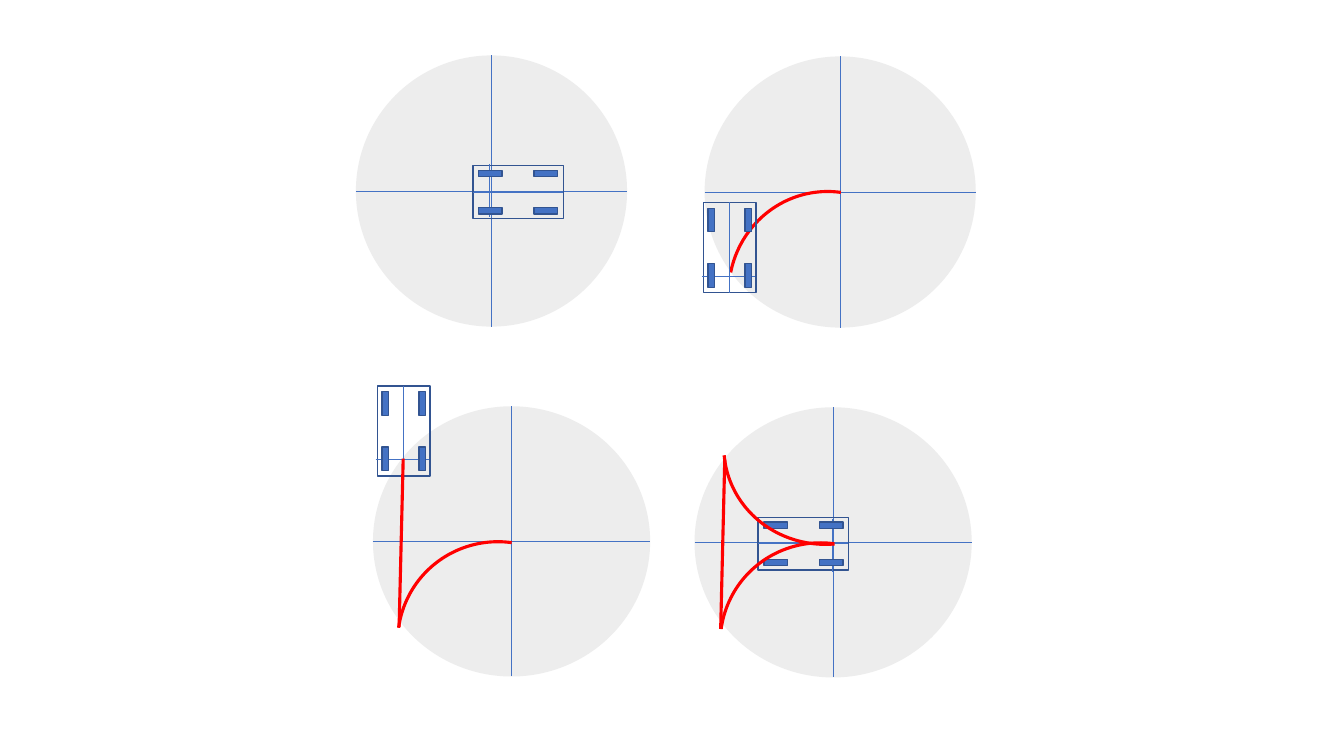
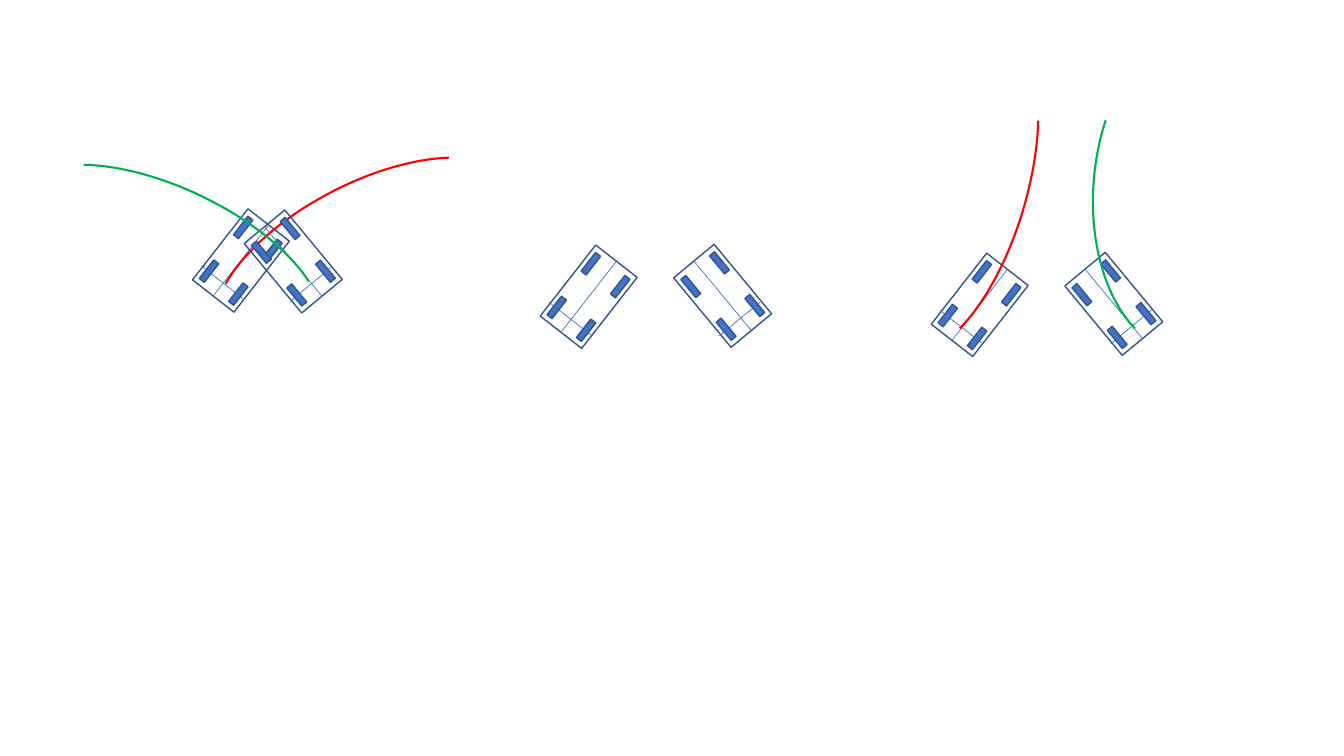
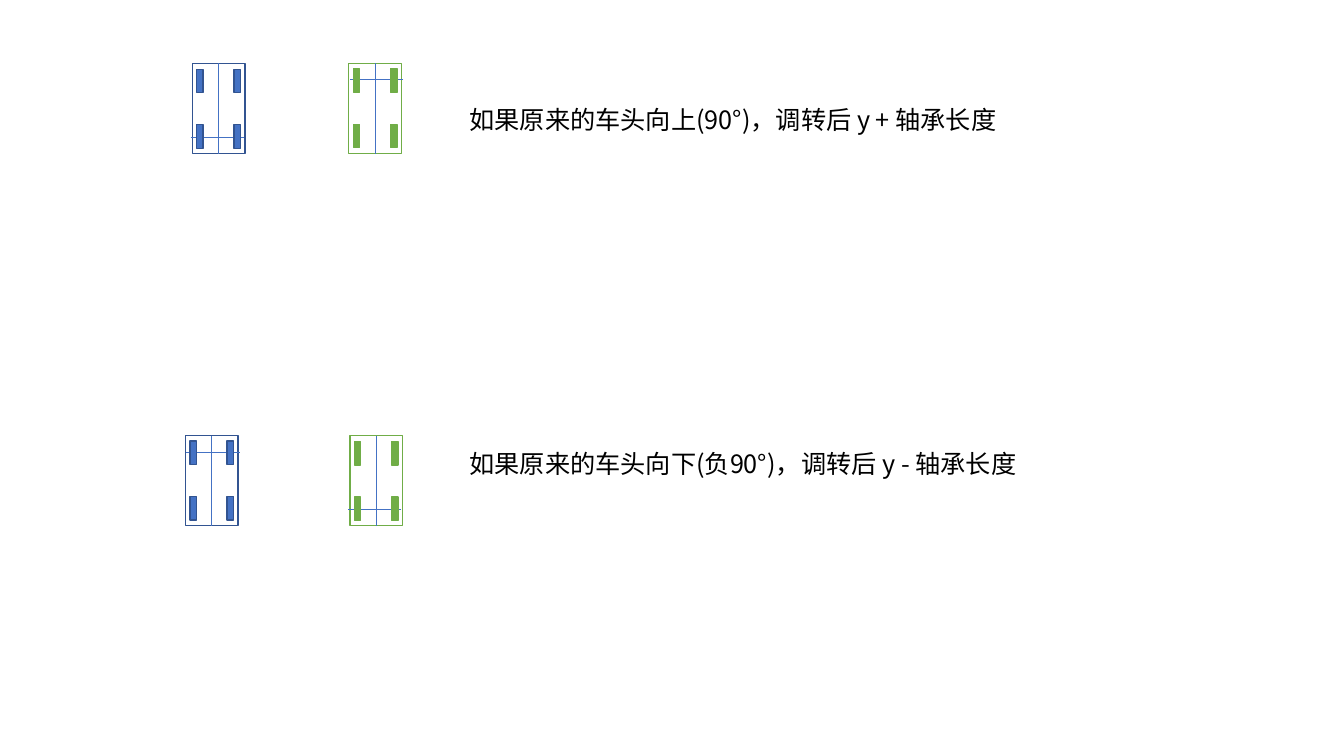
"""Build three slides of car turning diagrams: turning circle, crossing paths, reversed heading."""
from dataclasses import dataclass
from math import cos, radians, sin

from lxml.etree import SubElement
from pptx import Presentation
from pptx.dml.color import RGBColor
from pptx.enum.shapes import MSO_CONNECTOR as Connector, MSO_SHAPE as Shape
from pptx.enum.text import MSO_ANCHOR as Anchor, MSO_AUTO_SIZE as AutoSize
from pptx.oxml.ns import qn
from pptx.util import Pt


@dataclass(frozen=True)
class Theme:
    disc: str = "EDEDED"
    blue: str = "4472C4"
    navy: str = "325491"
    red: str = "FF0000"
    path_green: str = "00B050"
    car_green: str = "70AD47"
    text: str = "000000"
    font: str = "Noto Sans CJK SC"
    text_size: float = 18
    thin: float = 0.5
    outline: float = 1
    path_line: float = 1.5
    track_line: float = 2.25


THEME = Theme()
BLUE_CAR = (THEME.blue, THEME.navy)
GREEN_CAR = (THEME.car_green, THEME.car_green)
TRACK = (THEME.red, THEME.track_line)
RED_PATH = (THEME.red, THEME.path_line)
GREEN_PATH = (THEME.path_green, THEME.path_line)

BODY = (37.6, 64.4)
WHEEL = (4.6, 16.8)
WHEEL_X = (-13.3, 13.3)
WHEEL_Y = (-19.6, 20)
AXLE = ((-20, 20.5), (18, 20.5))

QUARTER = (162, 0)
LEFT_TURN, RIGHT_TURN = 38, 320.4

TURNING_CIRCLE = [
    ("disc", (266.4, 290.2, 198, 193)),
    ("arc", (284.4, 386.6, 142.6, 143.3), 277.9, QUARTER, TRACK),
    ("car", (288.4, 307.8), 0, BLUE_CAR),
    ("track", (285.1, 447.8), (288, 327.6), TRACK),
    ("disc", (496.1, 290.9, 198, 193)),
    ("car", (573.8, 388.4), 270, BLUE_CAR),
    ("track", (514.8, 449.3), (517.7, 328.3), TRACK),
    ("arc", (514.8, 387.4, 142.6, 143.3), 277.9, QUARTER, TRACK),
    ("arc", (517, 249.1, 146.2, 139.7), 175.1, QUARTER, TRACK),
    ("disc", (503.3, 40.3, 193.7, 193.7)),
    ("arc", (519.1, 138.2, 143.3, 140.4), 277.9, (164.08, 0), TRACK),
    ("car", (521.3, 176.8), 0, BLUE_CAR),
    ("disc", (254.2, 39.6, 193.7, 193.7)),
    ("car", (370.1, 137.2), 90, BLUE_CAR),
]

CROSSING_PATHS = [
    ("car", (172.1, 186.1), LEFT_TURN, BLUE_CAR),
    ("arc", (206.6, 67, 112.3, 239.8), 242.6, (173.16, 39.2), RED_PATH),
    ("car", (209.5, 186.8), RIGHT_TURN, BLUE_CAR),
    ("arc", (64.8, 69.1, 109.4, 239.8), 115.4, (173.16, 39.2), GREEN_PATH, True),
    ("car", (420.5, 212), LEFT_TURN, BLUE_CAR),
    ("car", (516.2, 211.3), RIGHT_TURN, BLUE_CAR),
    ("car", (699.8, 217.8), LEFT_TURN, BLUE_CAR),
    ("car", (795.6, 217.1), RIGHT_TURN, BLUE_CAR),
    ("arc", (781.2, 13, 149.8, 239.8), 185.5, (173.16, 17.89), GREEN_PATH),
    ("arc", (631.4, 15.1, 101.5, 240.5), 196.6, (173.16, 33.72), RED_PATH, True),
]

REVERSED_HEADING = [
    ("car", (156.2, 77.5), 0, BLUE_CAR),
    ("car", (151.2, 343.3), 180, BLUE_CAR),
    ("car", (267.9, 77.5), 180, GREEN_CAR),
    ("car", (268.7, 343.3), 0, GREEN_CAR),
    ("note", (328.3, 70.6, 409, 29), "如果原来的车头向上(90°)，调转后 y + 轴承长度"),
    ("note", (328.3, 316.8, 427, 29), "如果原来的车头向下(负90°)，调转后 y - 轴承长度"),
]


def apply(target, values):
    for name, value in values.items():
        setattr(target, name, value)


def paint_line(line, color, width):
    line.color.rgb = RGBColor.from_string(color)
    line.width = Pt(width)


def add_form(shapes, kind, frame, rotation=0, fill=None, line=None):
    form = shapes.add_shape(kind, *map(Pt, frame))
    form.shadow.inherit = False
    form.rotation = rotation
    if fill:
        form.fill.solid()
        form.fill.fore_color.rgb = RGBColor.from_string(fill)
    else:
        form.fill.background()
    if line:
        paint_line(form.line, *line)
    else:
        form.line.fill.background()
    return form


def add_track(shapes, start, end, line=(THEME.blue, THEME.thin)):
    track = shapes.add_connector(Connector.STRAIGHT, *map(Pt, (*start, *end)))
    paint_line(track.line, *line)
    SubElement(track._element.spPr, qn("a:effectLst"))
    return track


def add_disc(shapes, frame):
    left, top, width, height = frame
    middle_x, middle_y = left + width / 2, top + height / 2
    add_form(shapes, Shape.OVAL, frame, fill=THEME.disc)
    add_track(shapes, (left, middle_y), (left + width, middle_y))
    add_track(shapes, (middle_x, top), (middle_x, top + height))


def add_arc(shapes, frame, rotation, angles, line, mirrored=False):
    arc = add_form(shapes, Shape.ARC, frame, rotation, line=line)
    for index, angle in enumerate(angles):
        arc.adjustments[index] = angle
    if mirrored:
        arc._element.spPr.find(qn("a:xfrm")).set("flipH", "1")


def add_car(shapes, center, heading, colors):
    fill, edge = colors
    outline = (edge, THEME.outline)
    turn = radians(heading)
    parts = shapes.add_group_shape().shapes

    def place(x, y):
        return (center[0] + x * cos(turn) - y * sin(turn),
                center[1] + x * sin(turn) + y * cos(turn))

    def add_box(middle, size, color=None):
        corner = [at - length / 2 for at, length in zip(middle, size)]
        return add_form(parts, Shape.RECTANGLE, (*corner, *size), heading, color, outline)

    body = add_box(center, BODY)
    add_track(parts, *(place(*point) for point in AXLE))
    front, rear = place(0, -BODY[1] / 2), place(0, BODY[1] / 2)
    spine = add_track(parts, front, rear)
    spine.begin_connect(body, 0)
    spine.end_connect(body, 2)
    apply(spine, {"begin_x": Pt(front[0]), "begin_y": Pt(front[1]),
                  "end_x": Pt(rear[0]), "end_y": Pt(rear[1])})
    for y in WHEEL_Y:
        for x in WHEEL_X:
            add_box(place(x, y), WHEEL, fill)


def add_note(shapes, frame, text):
    box = shapes.add_textbox(*map(Pt, frame))
    apply(box.text_frame, {"word_wrap": True, "vertical_anchor": Anchor.TOP,
                           "auto_size": AutoSize.SHAPE_TO_FIT_TEXT})
    span = box.text_frame.paragraphs[0].add_run()
    span.text = text
    apply(span.font, {"name": THEME.font, "size": Pt(THEME.text_size)})
    span.font.color.rgb = RGBColor.from_string(THEME.text)
    SubElement(span.font._element, qn("a:ea")).set("typeface", THEME.font)


DRAW = {"disc": add_disc, "arc": add_arc, "car": add_car,
        "track": add_track, "note": add_note}


def main():
    deck = Presentation()
    apply(deck, {"slide_width": Pt(960), "slide_height": Pt(540)})
    for scene in (TURNING_CIRCLE, CROSSING_PATHS, REVERSED_HEADING):
        page = deck.slides.add_slide(deck.slide_layouts[6])
        for kind, *details in scene:
            DRAW[kind](page.shapes, *details)
    deck.save("out.pptx")


if __name__ == "__main__":
    main()
